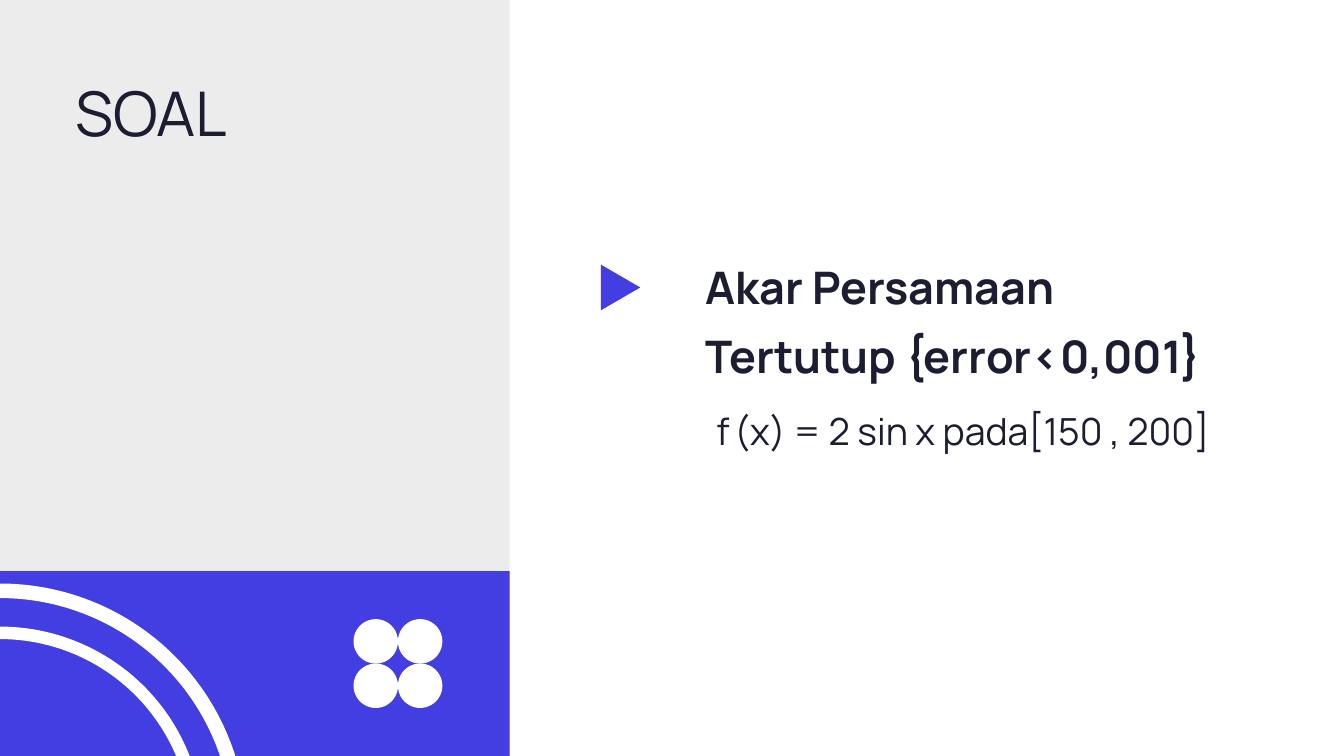
from dataclasses import dataclass
from itertools import product

from pptx import Presentation
from pptx.dml.color import RGBColor
from pptx.enum.shapes import MSO_SHAPE
from pptx.enum.text import MSO_ANCHOR, MSO_AUTO_SIZE, PP_ALIGN
from pptx.shapes.autoshape import Shape
from pptx.slide import Slide
from pptx.text.text import TextFrame
from pptx.util import Pt


@dataclass(frozen=True)
class Theme:
    font: str = "Manrope"
    ink: RGBColor = RGBColor(0x1C, 0x1D, 0x31)
    accent: RGBColor = RGBColor(0x42, 0x3E, 0xE1)
    panel: RGBColor = RGBColor(0xED, 0xEC, 0xED)
    white: RGBColor = RGBColor(0xFF, 0xFF, 0xFF)
    title_size: float = 33
    heading_size: float = 24
    formula_size: float = 20
    gap_size: float = 12


@dataclass(frozen=True)
class Box:
    left: float
    top: float
    width: float
    height: float


@dataclass(frozen=True)
class Ring:
    radius: float
    thickness: float


THEME = Theme()
SLIDE_WIDTH, SLIDE_HEIGHT = 720, 405
PANEL_WIDTH, BAND_TOP = 273, 306
RING_CENTER_Y = 444.8
RINGS = [Ring(132.2, 7.8), Ring(109.1, 6.7)]
DOT_LEFT, DOT_TOP, DOT_SIZE = 189.4, 331.7, 23.8


def add_filled(slide: Slide, kind: MSO_SHAPE, box: Box, color: RGBColor) -> Shape:
    shape = slide.shapes.add_shape(
        kind, Pt(box.left), Pt(box.top), Pt(box.width), Pt(box.height)
    )
    shape.shadow.inherit = False
    shape.fill.solid()
    shape.fill.fore_color.rgb = color
    shape.line.fill.background()
    return shape


def add_ring(slide: Slide, ring: Ring) -> None:
    """Draw a ring centred on the slide's left edge."""
    diameter = 2 * ring.radius
    box = Box(-ring.radius, RING_CENTER_Y - ring.radius, diameter, diameter)
    shape = add_filled(slide, MSO_SHAPE.DONUT, box, THEME.white)
    shape.adjustments[0] = ring.thickness / diameter


def format_text(
    frame: TextFrame, size: float, line_spacing: float = 1.0, bold: bool = False
) -> None:
    frame.margin_left = frame.margin_top = frame.margin_right = frame.margin_bottom = 0
    frame.word_wrap = True
    frame.auto_size = MSO_AUTO_SIZE.NONE
    frame.vertical_anchor = MSO_ANCHOR.TOP
    paragraph = frame.paragraphs[0]
    paragraph.alignment = PP_ALIGN.LEFT
    paragraph.line_spacing = line_spacing
    paragraph.font.name = THEME.font
    paragraph.font.size = Pt(size)
    paragraph.font.bold = bold
    paragraph.font.color.rgb = THEME.ink


def add_text_box(slide: Slide, box: Box) -> TextFrame:
    return slide.shapes.add_textbox(
        Pt(box.left), Pt(box.top), Pt(box.width), Pt(box.height)
    ).text_frame


def add_title(slide: Slide, text: str, box: Box) -> None:
    """Place the title and bring it in front of the side panel."""
    title = slide.shapes.title
    title.left, title.top = Pt(box.left), Pt(box.top)
    title.width, title.height = Pt(box.width), Pt(box.height)
    title.text_frame.text = text
    format_text(title.text_frame, THEME.title_size)
    title.element.getparent().append(title.element)


def add_side_panel(slide: Slide) -> None:
    add_filled(
        slide, MSO_SHAPE.RECTANGLE, Box(0, 0, PANEL_WIDTH, SLIDE_HEIGHT), THEME.panel
    )
    band = Box(0, BAND_TOP, PANEL_WIDTH, SLIDE_HEIGHT - BAND_TOP)
    add_filled(slide, MSO_SHAPE.RECTANGLE, band, THEME.accent)
    for ring in RINGS:
        add_ring(slide, ring)
    for row, column in product(range(2), repeat=2):
        dot = Box(
            DOT_LEFT + column * DOT_SIZE, DOT_TOP + row * DOT_SIZE, DOT_SIZE, DOT_SIZE
        )
        add_filled(slide, MSO_SHAPE.OVAL, dot, THEME.white)


def add_problem(slide: Slide) -> None:
    marker = add_filled(
        slide, MSO_SHAPE.ISOSCELES_TRIANGLE, Box(320.2, 143.5, 24.5, 21.1), THEME.accent
    )
    marker.rotation = 90

    heading = add_text_box(slide, Box(378, 130.3, 286.6, 75.6))
    heading.text = "Akar Persamaan Tertutup {error<0,001}"
    format_text(heading, THEME.heading_size, line_spacing=1.3, bold=True)

    formula = add_text_box(slide, Box(383.8, 206.6, 286.6, 36))
    format_text(formula, THEME.formula_size, line_spacing=1.5)
    for text, size in (
        ("f", THEME.formula_size),
        (" ", THEME.gap_size),
        ("(x) = 2 sin x pada[150 , 200]", THEME.formula_size),
    ):
        run = formula.paragraphs[0].add_run()
        run.text = text
        run.font.size = Pt(size)


def main() -> None:
    presentation = Presentation()
    presentation.slide_width = Pt(SLIDE_WIDTH)
    presentation.slide_height = Pt(SLIDE_HEIGHT)
    slide = presentation.slides.add_slide(presentation.slide_layouts[5])
    slide.background.fill.solid()
    slide.background.fill.fore_color.rgb = THEME.white

    add_side_panel(slide)
    add_title(slide, "SOAL", Box(40.3, 40.3, 196.6, 40.3))
    add_problem(slide)
    presentation.save("out.pptx")


if __name__ == "__main__":
    main()
